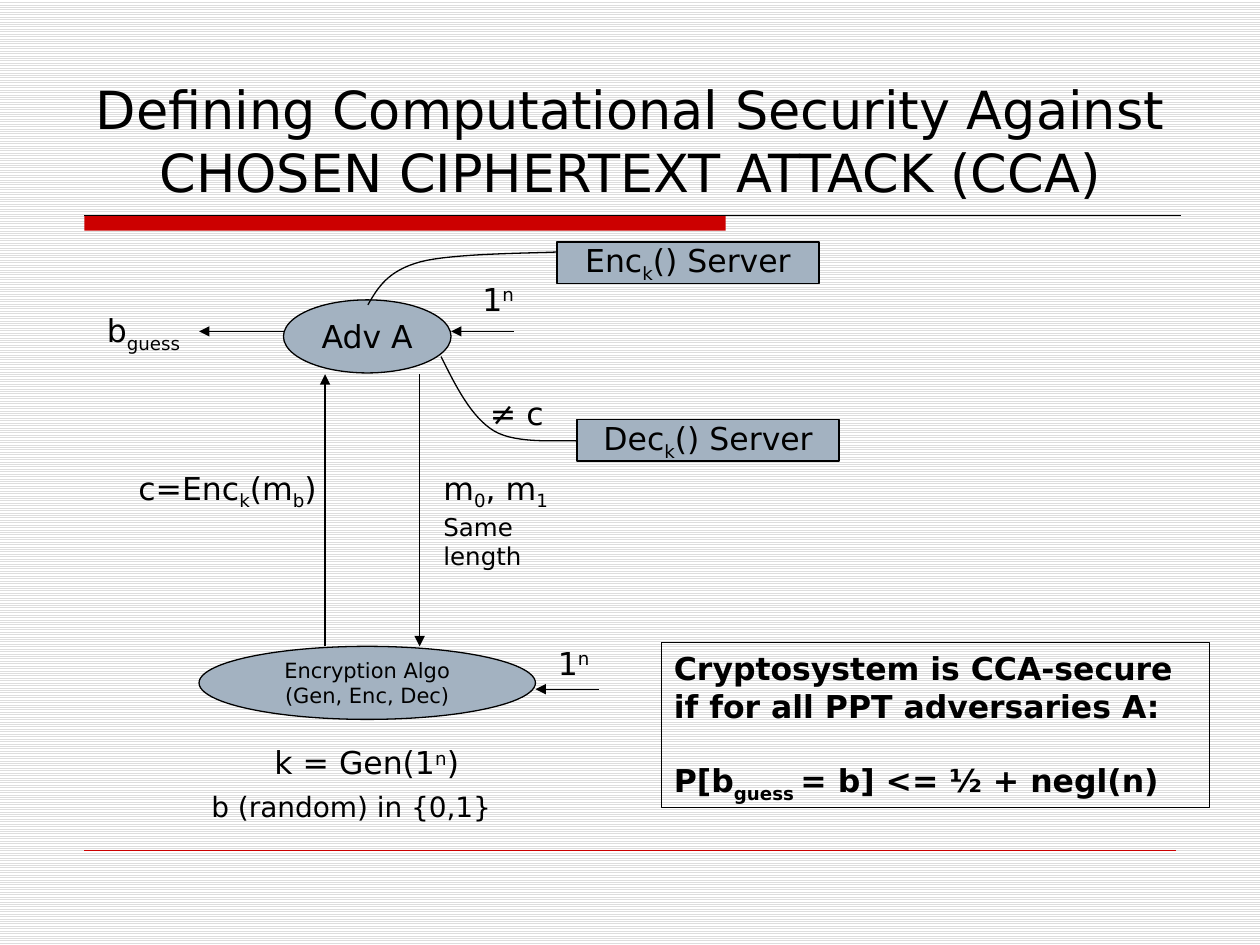
from lxml import etree
from pptx import Presentation
from pptx.dml.color import RGBColor
from pptx.enum.dml import MSO_PATTERN
from pptx.enum.shapes import MSO_CONNECTOR, MSO_SHAPE
from pptx.enum.text import MSO_ANCHOR, MSO_AUTO_SIZE, PP_ALIGN
from pptx.oxml.ns import qn
from pptx.util import Inches, Pt

RECT, OVAL = MSO_SHAPE.RECTANGLE, MSO_SHAPE.OVAL
STRAIGHT = MSO_CONNECTOR.STRAIGHT
TOP, MIDDLE, BOTTOM = MSO_ANCHOR.TOP, MSO_ANCHOR.MIDDLE, MSO_ANCHOR.BOTTOM
LEFT, CENTER = PP_ALIGN.LEFT, PP_ALIGN.CENTER
FONT = "DejaVu Sans"
BLACK, RED, STEEL = "000000", "CC0000", "A3B2C1"
SUB, SUP = "-25000", "30000"

# Content: a paragraph is (size, spans); a span is text or (text, baseline)
TITLE = [(30, ["Defining Computational Security Against CHOSEN CIPHERTEXT ATTACK (CCA)"])]
NODES = [  # shape, left, top, width, height, paragraphs
    (OVAL, 2.25, 2.38, 1.33, 0.58, [(18, ["Adv A"])]),
    (OVAL, 1.58, 5.13, 2.67, 0.58, [(12, ["Encryption Algo"]), (12, ["(Gen, Enc, Dec)"])]),
    (RECT, 4.42, 1.92, 2.08, 0.33, [(18, ["Enc", ("k", SUB), "() Server"])]),
    (RECT, 4.58, 3.33, 2.08, 0.33, [(18, ["Dec", ("k", SUB), "() Server"])]),
]
SECURITY_PARAMETER = [(18, ["1", ("n", SUP)])]
LABELS = [  # left, top, width, height, paragraphs
    (3.42, 3.67, 1.08, 0.87, [(18, ["m", ("0", SUB), ", m", ("1", SUB)]),
                              (14, ["Same"]), (14, ["length"])]),
    (3.73, 2.17, 0.47, 0.4, SECURITY_PARAMETER),
    (4.33, 5.06, 0.47, 0.4, SECURITY_PARAMETER),
    (1.58, 6.22, 2.56, 0.37, [(16, ["b (random) in {0,1}"])]),
    (1, 3.67, 1.74, 0.4, [(18, ["c=Enc", ("k", SUB), "(m", ("b", SUB), ")"])]),
    (0.75, 2.42, 0.84, 0.4, [(18, ["b", ("guess", SUB)])]),
    (2.08, 5.85, 1.72, 0.4, [(18, ["k = Gen(1", ("n", SUP), ")"])]),
    (3.79, 3.08, 0.62, 0.4, [(18, ["≠ c"])]),
]
DEFINITION = [
    (18, ["Cryptosystem is CCA-secure"]),
    (18, ["if for all PPT adversaries A:"]),
    (18, ["P[b", ("guess ", SUB), "= b] <= ½ + negl(n)"]),
]
ARROWS = [  # from x, y to x, y
    (3.33, 2.97, 3.33, 5.13),
    (2.58, 5.13, 2.58, 2.97),
    (4.08, 2.63, 3.58, 2.63),
    (4.75, 5.47, 4.25, 5.47),
    (2.25, 2.63, 1.58, 2.63),
]
SERVER_LINKS = [  # start point, then control, control, end for each Bezier piece
    [(2.92, 2.42), (3, 2.28), (3.08, 2.15), (3.33, 2.08),
     (3.58, 2.01), (4.24, 2.01), (4.42, 2)],
    [(3.5, 2.83), (3.62, 3.07), (3.74, 3.31), (3.92, 3.42),
     (4.1, 3.53), (4.47, 3.49), (4.58, 3.5)],
]
CURVE_STEPS = 16


def color(value):
    return RGBColor.from_string(value)


def style(shape, fill=None, line=BLACK):
    shape.shadow.inherit = False
    for part, value in ((shape.fill, fill), (shape.line.fill, line)):
        if value:
            part.solid()
            part.fore_color.rgb = color(value)
        else:
            part.background()
    if line:
        shape.line.width = Pt(0.75)


def write(shape, paragraphs, align=LEFT, anchor=TOP, wrap=False, bold=False):
    frame = shape.text_frame
    frame.auto_size = MSO_AUTO_SIZE.NONE
    frame.word_wrap = wrap
    frame.vertical_anchor = anchor
    for index, (size, spans) in enumerate(paragraphs):
        para = frame.add_paragraph() if index else frame.paragraphs[0]
        para.alignment = align
        for item in spans:
            text, baseline = (item, None) if isinstance(item, str) else item
            span = para.add_run()
            span.text = text
            span.font.name = FONT
            span.font.size = Pt(size)
            span.font.bold = bold
            span.font.color.rgb = color(BLACK)
            if baseline:
                span.font._element.set("baseline", baseline)


def add_text(page, bounds, paragraphs, **options):
    box = page.shapes.add_textbox(*map(Inches, bounds))
    write(box, paragraphs, **options)
    return box


def add_line(page, ends, line=BLACK, width=0.75, arrow=False):
    connector = page.shapes.add_connector(STRAIGHT, *map(Inches, ends))
    connector.line.color.rgb = color(line)
    connector.line.width = Pt(width)
    if arrow:
        etree.SubElement(connector.line._get_or_add_ln(), qn("a:tailEnd"), type="triangle")
    etree.SubElement(connector._element.spPr, qn("a:effectLst"))


def bezier(points, t):
    weights = ((1 - t) ** 3, 3 * t * (1 - t) ** 2, 3 * t ** 2 * (1 - t), t ** 3)
    return tuple(Inches(sum(w * p[axis] for w, p in zip(weights, points))) for axis in (0, 1))


def add_curve(page, points):
    builder = page.shapes.build_freeform(*map(Inches, points[0]))
    builder.add_line_segments(
        [bezier(points[first:first + 4], step / CURVE_STEPS)
         for first in range(0, len(points) - 1, 3)
         for step in range(1, CURVE_STEPS + 1)], close=False)
    style(builder.convert_to_shape())


def main():
    deck = Presentation()
    deck.slide_width, deck.slide_height = Inches(10), Inches(7.5)
    page = deck.slides.add_slide(deck.slide_layouts[6])

    # Striped background
    stripes = page.background.fill
    stripes.patterned()
    stripes.pattern = MSO_PATTERN.LIGHT_HORIZONTAL
    stripes.fore_color.rgb = color("DDDDDD")
    stripes.back_color.rgb = color("FFFFFF")

    # Title with its rule, and the footer rule
    bar = page.shapes.add_shape(RECT, *map(Inches, (0.67, 1.71, 5.09, 0.12)))
    style(bar, RED, None)
    add_line(page, (0.67, 1.71, 9.37, 1.71))
    add_line(page, (0.67, 6.75, 9.33, 6.75), RED, 0.25)
    add_text(page, (0.63, 0.33, 8.75, 1.33), TITLE, align=CENTER, anchor=BOTTOM, wrap=True)

    # Parties and servers
    for kind, *bounds, paragraphs in NODES:
        node = page.shapes.add_shape(kind, *map(Inches, bounds))
        style(node, STEEL)
        write(node, paragraphs, align=CENTER, anchor=MIDDLE)

    # Messages and links
    for ends in ARROWS:
        add_line(page, ends, arrow=True)
    for points in SERVER_LINKS:
        add_curve(page, points)
    for *bounds, paragraphs in LABELS:
        add_text(page, bounds, paragraphs)

    # Security definition
    definition = add_text(page, (5.25, 5.1, 4.35, 1.31), DEFINITION, bold=True)
    definition.line.color.rgb = color(BLACK)
    definition.line.width = Pt(0.75)
    definition.text_frame.paragraphs[-1].space_before = Pt(21)

    deck.save("out.pptx")


if __name__ == "__main__":
    main()
